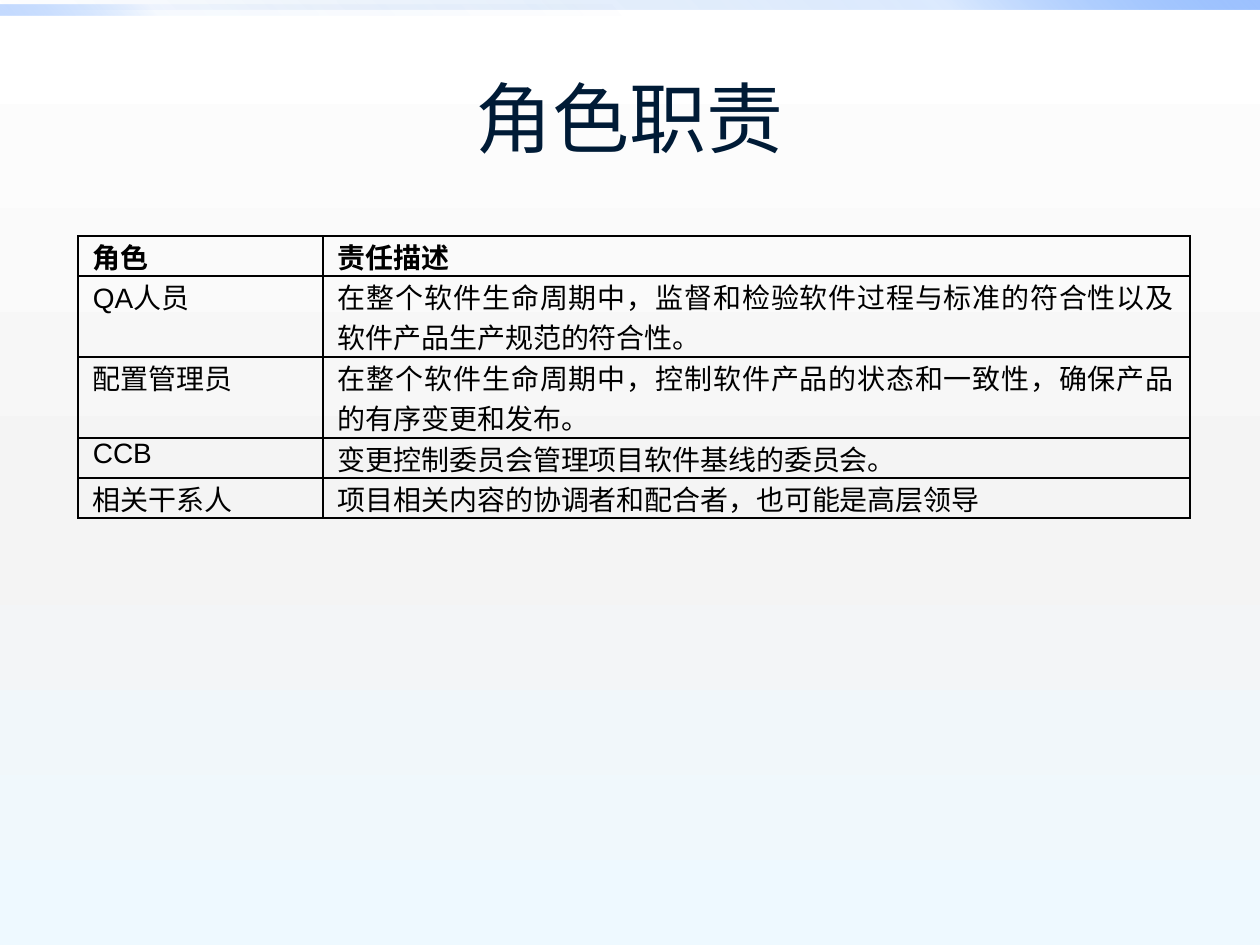
from dataclasses import dataclass

from lxml.etree import SubElement
from pptx import Presentation
from pptx.dml.color import RGBColor
from pptx.enum.shapes import MSO_SHAPE
from pptx.enum.text import MSO_ANCHOR, PP_ALIGN
from pptx.oxml.ns import qn
from pptx.util import Emu, Pt


@dataclass(frozen=True)
class Theme:
    title_color: str = "001B36"
    text_color: str = "000000"
    border_color: str = "000000"
    title_font: str = "Roboto"
    header_font: str = "Times New Roman"
    body_font: str = "Arial"
    title_size: int = 44
    table_size: int = 16
    border_width: int = 1
    background: tuple = ((0, "FFFFFF", 100), (55, "F4F4F4", 100), (100, "EEF9FF", 100))
    top_bar: tuple = ((0, "0058B7", 0), (75, "4F95FF", 20), (100, "9EC2FF", 100))
    left_bar: tuple = ((0, "0058B7", 0), (75, "4F95FF", 5), (100, "9EC2FF", 60))


THEME = Theme()
EMU_PER_PX = 914400 / 126
COLUMN_WIDTHS = (245, 867)
ROW_HEIGHTS = (40, 81, 81, 40, 40)
ROLES = (
    ("角色", "责任描述"),
    ("QA人员", "在整个软件生命周期中，监督和检验软件过程与标准的符合性以及软件产品生产规范的符合性。"),
    ("配置管理员", "在整个软件生命周期中，控制软件产品的状态和一致性，确保产品的有序变更和发布。"),
    ("CCB", "变更控制委员会管理项目软件基线的委员会。"),
    ("相关干系人", "项目相关内容的协调者和配合者，也可能是高层领导"),
)


def px(value):
    return Emu(round(value * EMU_PER_PX))


def set_gradient(fill, element, stops, angle):
    fill.solid()
    solid = element.find(".//" + qn("a:solidFill"))
    gradient = solid.makeelement(qn("a:gradFill"), {"rotWithShape": "1"})
    stop_list = SubElement(gradient, qn("a:gsLst"))
    for position, color, opacity in stops:
        stop = SubElement(stop_list, qn("a:gs"), pos=str(position * 1000))
        stop_color = SubElement(stop, qn("a:srgbClr"), val=color)
        if opacity < 100:
            SubElement(stop_color, qn("a:alpha"), val=str(opacity * 1000))
    SubElement(gradient, qn("a:lin"), ang=str(angle * 60000), scaled="0")
    solid.getparent().replace(solid, gradient)


def add_bar(slide, left, top, width, height, stops, angle):
    shape = slide.shapes.add_shape(MSO_SHAPE.RECTANGLE, px(left), px(top), px(width), px(height))
    shape.shadow.inherit = False
    set_gradient(shape.fill, shape.element, stops, angle)
    shape.line.fill.background()


def add_run(paragraph, text, font_name, size, color, bold=False):
    run = paragraph.add_run()
    run.text = text
    run.font.name = font_name
    run.font.size = Pt(size)
    run.font.bold = bold
    run.font.color.rgb = RGBColor.from_string(color)


def add_title(slide, text, left, top, width, height):
    shape = slide.shapes.add_textbox(px(left), px(top), px(width), px(height))
    frame = shape.text_frame
    frame.word_wrap = True
    frame.vertical_anchor = MSO_ANCHOR.MIDDLE
    paragraph = frame.paragraphs[0]
    paragraph.alignment = PP_ALIGN.CENTER
    add_run(paragraph, text, THEME.title_font, THEME.title_size, THEME.title_color)


def set_borders(cell):
    properties = cell._tc.get_or_add_tcPr()
    for index, side in enumerate(("a:lnL", "a:lnR", "a:lnT", "a:lnB")):
        line = properties.makeelement(qn(side), {"w": str(Pt(THEME.border_width))})
        fill = SubElement(line, qn("a:solidFill"))
        SubElement(fill, qn("a:srgbClr"), val=THEME.border_color)
        properties.insert(index, line)


def fill_cell(cell, text, is_header):
    cell.fill.background()
    cell.margin_left = cell.margin_right = px(15)
    cell.margin_top = cell.margin_bottom = 0
    set_borders(cell)
    paragraph = cell.text_frame.paragraphs[0]
    paragraph.alignment = PP_ALIGN.JUSTIFY
    font_name = THEME.header_font if is_header else THEME.body_font
    add_run(paragraph, text, font_name, THEME.table_size, THEME.text_color, is_header)


def add_role_table(slide, left, top):
    shape = slide.shapes.add_table(
        len(ROLES), len(COLUMN_WIDTHS), px(left), px(top),
        px(sum(COLUMN_WIDTHS)), px(sum(ROW_HEIGHTS)),
    )
    table = shape.table
    table.horz_banding = False
    for column, width in zip(table.columns, COLUMN_WIDTHS):
        column.width = px(width)
    for row_index, (row, height) in enumerate(zip(table.rows, ROW_HEIGHTS)):
        row.height = px(height)
        for cell, text in zip(row.cells, ROLES[row_index]):
            fill_cell(cell, text, row_index == 0)


def main():
    presentation = Presentation()
    presentation.slide_width = px(1260)
    presentation.slide_height = px(945)
    slide = presentation.slides.add_slide(presentation.slide_layouts[6])
    set_gradient(slide.background.fill, slide.element, THEME.background, 90)
    add_bar(slide, 0, 0, 1260, 10, THEME.top_bar, 315)
    add_bar(slide, 0, 5, 630, 10, THEME.left_bar, 135)
    add_title(slide, "角色职责", 63, 38, 1134, 157)
    add_role_table(slide, 78, 236)
    presentation.save("out.pptx")


if __name__ == "__main__":
    main()
